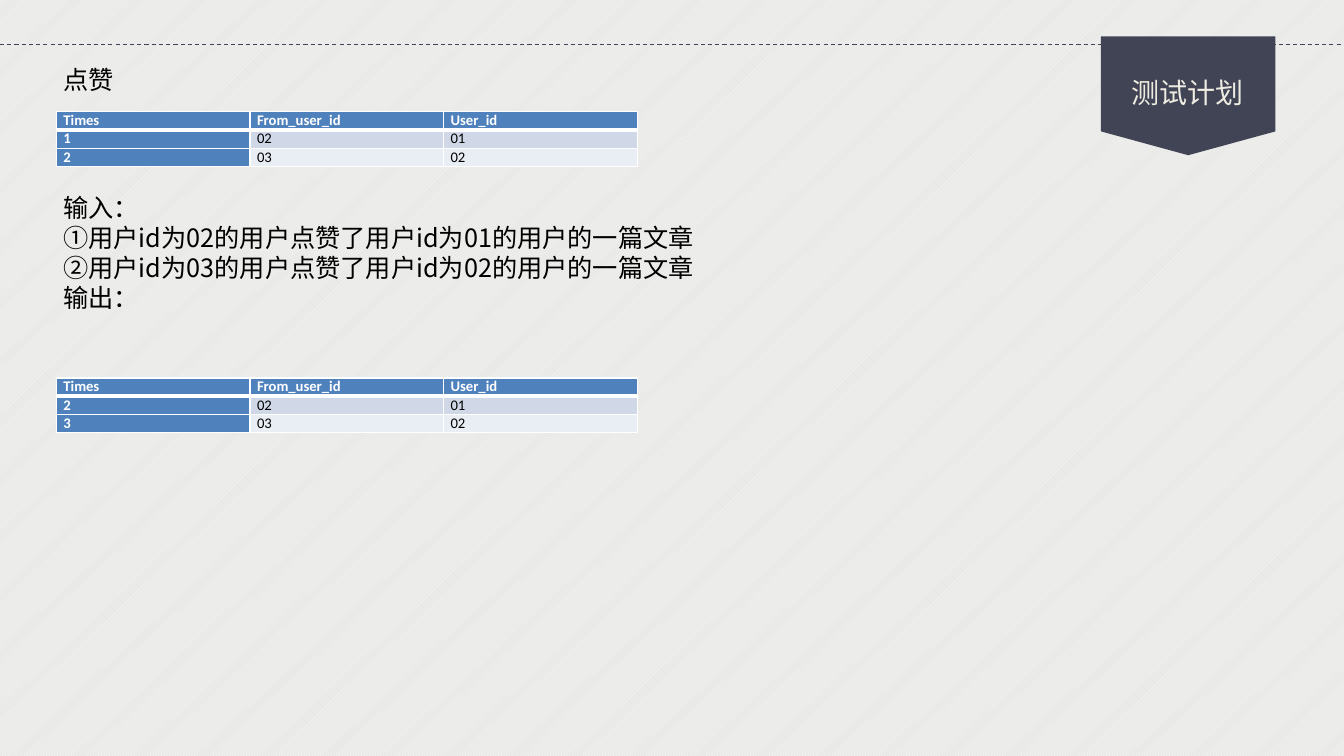
from lxml import etree
from pptx import Presentation
from pptx.dml.color import RGBColor
from pptx.enum.dml import MSO_LINE, MSO_PATTERN
from pptx.enum.shapes import MSO_CONNECTOR, MSO_SHAPE
from pptx.enum.text import MSO_AUTO_SIZE, PP_ALIGN
from pptx.oxml.ns import qn
from pptx.util import Inches, Pt

DASH = MSO_LINE.DASH
STRIPES = MSO_PATTERN.LIGHT_UPWARD_DIAGONAL
STRAIGHT = MSO_CONNECTOR.STRAIGHT
BANNER = MSO_SHAPE.FLOWCHART_OFFPAGE_CONNECTOR
FIT_SHAPE = MSO_AUTO_SIZE.SHAPE_TO_FIT_TEXT
LEFT = PP_ALIGN.LEFT
JUSTIFY = PP_ALIGN.JUSTIFY

WHITE = RGBColor(0xFF, 0xFF, 0xFF)
BLACK = RGBColor(0, 0, 0)
GREY = RGBColor(0xE8, 0xE8, 0xE6)
SLATE = RGBColor(0x41, 0x44, 0x55)
CREAM = RGBColor(0xEE, 0xEC, 0xE1)
BLUE = RGBColor(0x4F, 0x81, 0xBD)
BANDS = (RGBColor(0xD0, 0xD8, 0xE8), RGBColor(0xE9, 0xED, 0xF4))

CHINESE_FONT = "Noto Sans CJK SC"
TABLE_FONT = "Calibri"
HEADERS = ("Times", "From_user_id", "User_id")


def write(frame, text, font=CHINESE_FONT, size=18, color=BLACK,
          bold=False, align=JUSTIFY, line_height=None):
    for index, line in enumerate(text.split("\n")):
        para = frame.add_paragraph() if index else frame.paragraphs[0]
        para.alignment = align
        if line_height:
            para.line_spacing = Pt(line_height)
        span = para.add_run()
        span.text = line
        span.font.name = font
        span.font.size = Pt(size)
        span.font.bold = bold
        span.font.color.rgb = color
        east_asian = etree.SubElement(span.font._element, qn("a:ea"))
        east_asian.set("typeface", font)


class Slide:
    def __init__(self, deck):
        self.page = deck.slides.add_slide(deck.slide_layouts[6])
        fill = self.page.background.fill
        fill.patterned()
        fill.pattern = STRIPES
        fill.fore_color.rgb = WHITE
        fill.back_color.rgb = GREY

    def rule(self, top, width):
        line = self.page.shapes.add_connector(
            STRAIGHT, 0, Inches(top), Inches(width), Inches(top))
        line.line.color.rgb = SLATE
        line.line.width = Pt(0.75)
        line.line.dash_style = DASH
        etree.SubElement(line._element.spPr, qn("a:effectLst"))

    def banner(self, left, top, width, height):
        shape = self.page.shapes.add_shape(
            BANNER, Inches(left), Inches(top), Inches(width), Inches(height))
        shape.shadow.inherit = False
        shape.fill.solid()
        shape.fill.fore_color.rgb = SLATE
        shape.line.fill.background()

    def text(self, left, top, width, height, text, wrap=False, **style):
        box = self.page.shapes.add_textbox(
            Inches(left), Inches(top), Inches(width), Inches(height))
        box.text_frame.word_wrap = wrap
        box.text_frame.auto_size = FIT_SHAPE
        write(box.text_frame, text, **style)

    def border(self, cell, bottom):
        properties = cell._tc.get_or_add_tcPr()
        widths = (("L", 1), ("R", 1), ("T", 1), ("B", bottom))
        for index, (side, width) in enumerate(widths):
            line = etree.Element(qn(f"a:ln{side}"), w=str(Pt(width)))
            fill = etree.SubElement(line, qn("a:solidFill"))
            etree.SubElement(fill, qn("a:srgbClr"), val=str(WHITE))
            properties.insert(index, line)

    def table(self, left, top, rows, column_width=1.92, row_height=0.18):
        grid = self.page.shapes.add_table(
            len(rows), len(HEADERS), Inches(left), Inches(top),
            Inches(column_width * len(HEADERS)),
            Inches(row_height * len(rows))).table
        for row, values in enumerate(rows):
            for column, value in enumerate(values):
                cell = grid.cell(row, column)
                heading = row == 0 or column == 0
                cell.margin_left = cell.margin_right = Inches(0.07)
                cell.margin_top = cell.margin_bottom = 0
                cell.fill.solid()
                cell.fill.fore_color.rgb = BLUE if heading else BANDS[row - 1]
                self.border(cell, bottom=1 if row else 3)
                write(cell.text_frame, value, font=TABLE_FONT, size=10.5,
                      color=WHITE if heading else BLACK, bold=heading)


def main():
    deck = Presentation()
    deck.slide_width = Inches(13.33)
    deck.slide_height = Inches(7.5)
    slide = Slide(deck)
    slide.rule(0.44, 13.33)
    slide.banner(10.92, 0.36, 1.73, 1.18)
    slide.text(11.12, 0.7, 1.32, 0.44, "测试计划", size=20, color=CREAM,
               align=LEFT, line_height=24)
    slide.text(0.53, 0.59, 0.71, 0.4, "点赞", line_height=21.5)
    slide.table(0.56, 1.11, (HEADERS, ("1", "02", "01"), ("2", "03", "02")))
    slide.text(0.53, 1.86, 6.66, 1.9,
               "输入：\n"
               "①用户id为02的用户点赞了用户id为01的用户的一篇文章\n"
               "②用户id为03的用户点赞了用户id为02的用户的一篇文章\n"
               "输出：", wrap=True, line_height=21.5)
    slide.table(0.56, 3.75, (HEADERS, ("2", "02", "01"), ("3", "03", "02")))
    deck.save("out.pptx")


if __name__ == "__main__":
    main()
